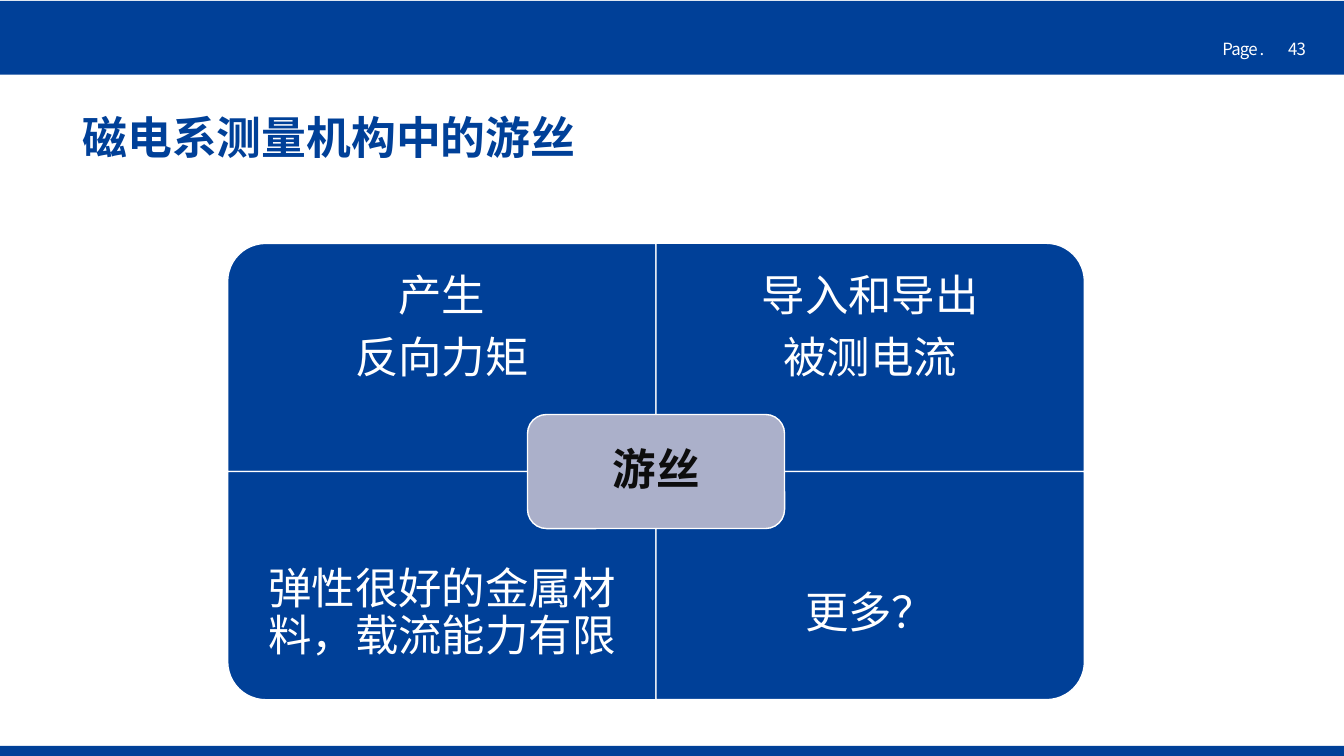
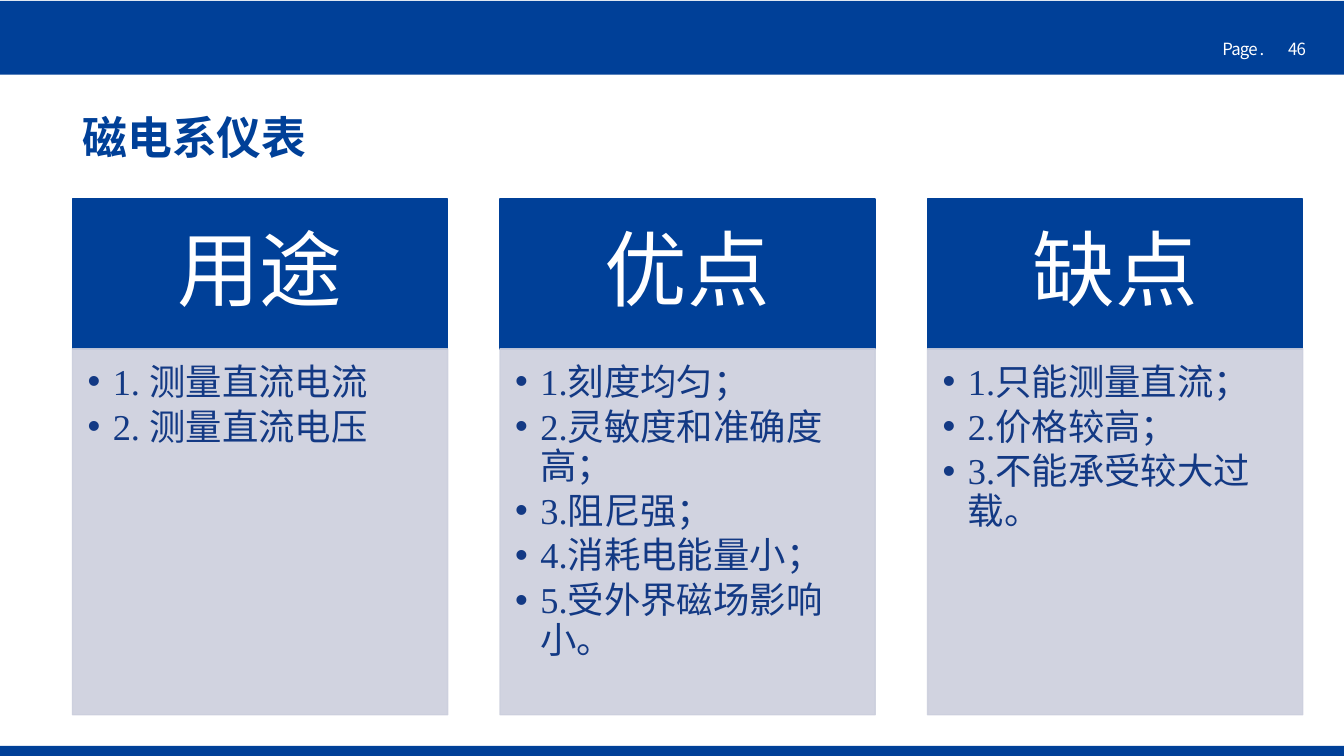
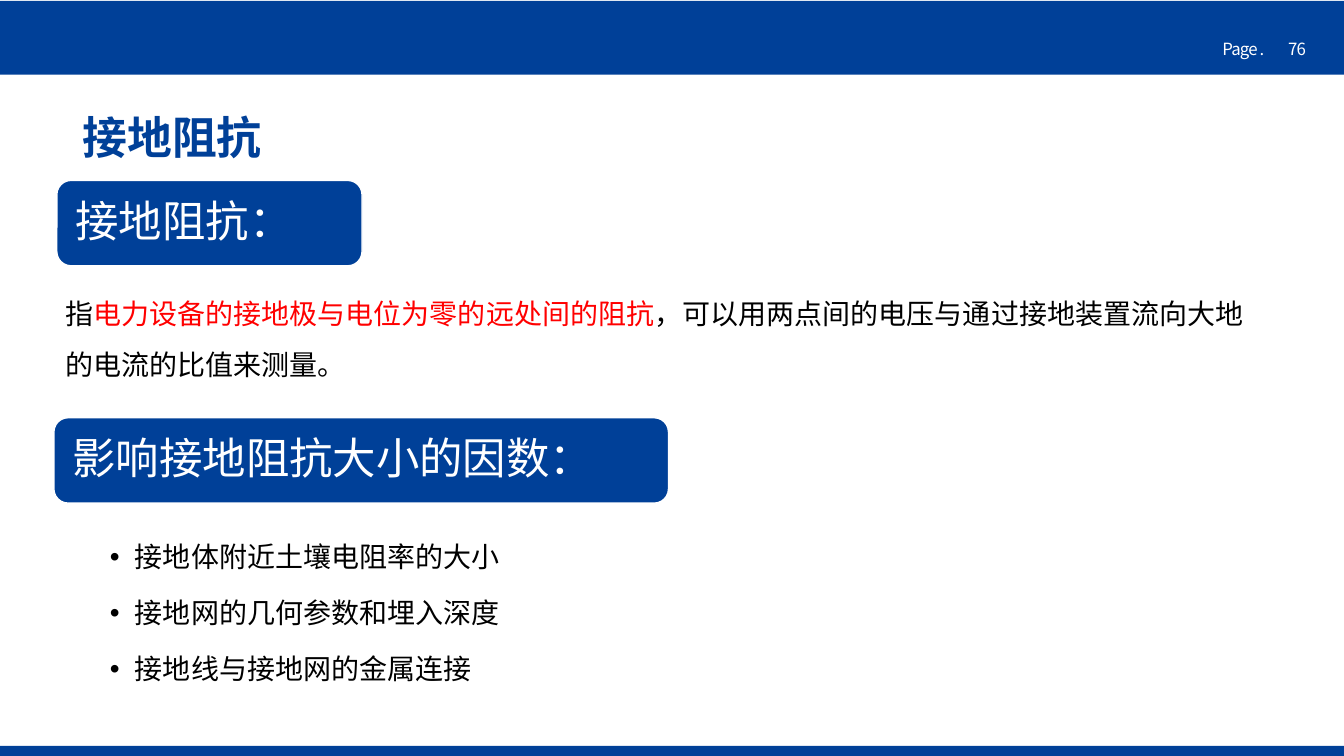
from lxml import etree
from pptx import Presentation
from pptx.dml.color import RGBColor
from pptx.enum import shapes, text
from pptx.oxml.ns import qn
from pptx.util import Pt

KIND = shapes.MSO_SHAPE
LEFT, MID = text.PP_ALIGN.LEFT, text.PP_ALIGN.CENTER
TOP, CORE = text.MSO_ANCHOR.TOP, text.MSO_ANCHOR.MIDDLE

BLUE, NAVY, PALE, GREY = "004098", "133984", "CCCFDD", "ABB0CA"
WHITE, BLACK, INK, RED = "FFFFFF", "000000", "0D0D0D", "FF0000"
SANS, SERIF = "Noto Sans CJK SC", "Times New Roman"
WIDE, HIGH = 960, 540


def paint(part, hue, alpha=None):
    """Fill a shape or a line with one colour, alpha in percent."""
    part.fill.solid()
    part.fill.fore_color.rgb = RGBColor.from_string(hue)
    if alpha:
        for clr in part.fill._xPr.iter(qn("a:srgbClr")):
            etree.SubElement(clr, qn("a:alpha"), val=str(alpha * 1000))


def add_run(para, words, size, hue, font=SERIF, bold=False, track=None):
    run = para.add_run()
    run.text = words
    run.font.size = Pt(size)
    run.font.bold = bold
    run.font.name = font
    run.font.color.rgb = RGBColor.from_string(hue)
    props = run.font._element
    etree.SubElement(props, qn("a:ea"), typeface=SANS)
    if track:
        props.set("spc", str(track))


def add_dot(para):
    """Give a paragraph a hanging bullet."""
    props = para._p.get_or_add_pPr()
    props.set("marL", str(Pt(18)))
    props.set("indent", str(-Pt(18)))
    etree.SubElement(props, qn("a:buFont"), typeface="Arial")
    etree.SubElement(props, qn("a:buChar"), char="•")


def write(shape, paras, size, hue, align=LEFT, anchor=CORE, pad=(7.2, 3.6, 7.2, 3.6),
          line=0.9, after=0, dot=False, wrap=True, **style):
    """Write paragraphs; each is a string or a list of (words, colour)."""
    frame = shape.text_frame
    frame.word_wrap = wrap
    frame.auto_size = text.MSO_AUTO_SIZE.NONE
    frame.vertical_anchor = anchor
    (frame.margin_left, frame.margin_top,
     frame.margin_right, frame.margin_bottom) = map(Pt, pad)
    for i, item in enumerate(paras):
        para = frame.add_paragraph() if i else frame.paragraphs[0]
        if dot:
            add_dot(para)
        para.alignment = align
        para.line_spacing = line
        para.space_after = Pt(round(size * after, 2))
        for words, tint in [(item, hue)] if isinstance(item, str) else item:
            add_run(para, words, size, tint, **style)


def add_box(slide, x, y, w, h):
    return slide.shapes.add_textbox(Pt(x), Pt(y), Pt(w), Pt(h))


def add_form(slide, kind, x, y, w, h, fill, edge=None, alpha=None):
    shape = slide.shapes.add_shape(kind, Pt(x), Pt(y), Pt(w), Pt(h))
    shape.shadow.inherit = False
    paint(shape, fill, alpha)
    if edge:
        shape.line.width = Pt(1)
        paint(shape.line, edge, alpha)
    else:
        shape.line.fill.background()
    return shape


def add_page(deck, title, page, font=SERIF):
    """Add a slide with bands, page number and title."""
    slide = deck.slides.add_slide(deck.slide_layouts[6])
    for y, h in ((532.8, 7.2), (0.7, 52.6)):
        add_form(slide, KIND.RECTANGLE, 0, y, WIDE, h, BLUE)
    for words, x, w in ((str(page), 913, 29), ("Page .", 866, 45.5)):
        write(add_box(slide, x, 24.5, w, 21.6), [words], 12, WHITE, anchor=TOP,
              line=1, wrap=False, font=SANS, track=-60)
    write(add_box(slide, 51.8, 77, 879, 45.4), [title], 32, BLUE, font=font, bold=True)
    return slide


def add_quad(slide, mid_x, mid_y, w, h, cells, core):
    """Four cells with one rounded outer corner each, around a core."""
    turns = (270, 0, 180, 90)
    deep = h * 0.75
    for i, (paras, turn) in enumerate(zip(cells, turns)):
        row, col = divmod(i, 2)
        x, y = mid_x + (col - 1) * w, mid_y + (row - 1) * h
        fw, fh = (h, w) if turn % 180 else (w, h)
        form = add_form(slide, KIND.ROUND_1_RECTANGLE, x + (w - fw) / 2,
                        y + (h - fh) / 2, fw, fh, BLUE, WHITE)
        form.rotation = turn
        box = add_box(slide, x, y + row * (h - deep), w, deep)
        write(box, paras, 31, WHITE, align=MID, pad=(17.3,) * 4, after=0.35)
    w, h = w * 0.6, h / 2
    form = add_form(slide, KIND.ROUNDED_RECTANGLE, mid_x - w / 2, mid_y - h / 2,
                    w, h, GREY, WHITE)
    write(form, [core], 31, INK, align=MID, pad=(9.4,) * 4, after=0.35, bold=True)


def add_card(slide, x, head, items):
    y, w, h = 142.2, 268, 107
    form = add_form(slide, KIND.RECTANGLE, x, y, w, h, BLUE, BLUE)
    write(form, [head], 59, WHITE, align=MID, pad=(33, 18.7, 33, 18.7), after=0.35)
    form = add_form(slide, KIND.RECTANGLE, x, y + h, w, 261.4, PALE, PALE, 90)
    write(form, items, 26, NAVY, anchor=TOP, pad=(10.8, 10.8, 14.4, 16.6),
          after=0.15, dot=True)


def add_chip(slide, x, y, w, words):
    form = add_form(slide, KIND.ROUNDED_RECTANGLE, x, y, w, 61, BLUE, WHITE)
    write(form, [words], 31, WHITE, pad=(10.4, 9.4, 9.4, 9.4), after=0.35)


def main():
    deck = Presentation()
    deck.slide_width, deck.slide_height = Pt(WIDE), Pt(HIGH)

    slide = add_page(deck, "磁电系测量机构中的游丝", 43)
    cells = (["产生", "反向力矩"], ["导入和导出", "被测电流"],
             ["弹性很好的金属材料，载流能力有限"], ["更多？"])
    add_quad(slide, 468.6, 336.8, 306, 163, cells, "游丝")

    slide = add_page(deck, "磁电系仪表", 46)
    cards = (
        ("用途", ["1. 测量直流电流", "2. 测量直流电压"]),
        ("优点", ["1.刻度均匀；", "2.灵敏度和准确度高；", "3.阻尼强；",
                "4.消耗电能量小；", "5.受外界磁场影响小。"]),
        ("缺点", ["1.只能测量直流；", "2.价格较高；", "3.不能承受较大过载。"]),
    )
    for i, (head, items) in enumerate(cards):
        add_card(slide, 51.8 + i * 305.4, head, items)

    slide = add_page(deck, "接地阻抗", 76, SANS)
    add_chip(slide, 40.6, 128.9, 218, "接地阻抗：")
    meaning = [("指", BLACK), ("电力设备的接地极与电位为零的远处间的阻抗", RED),
               ("，可以用两点间的电压与通过接地装置流向大地的电流的比值来测量。", BLACK)]
    write(add_box(slide, 39.6, 196.6, 867.6, 74.2), [meaning], 20, BLACK,
          anchor=TOP, line=1.5, font=SANS)
    add_chip(slide, 38.5, 298.4, 439, "影响接地阻抗大小的因数：")
    causes = ["接地体附近土壤电阻率的大小", "接地网的几何参数和埋入深度", "接地线与接地网的金属连接"]
    write(add_box(slide, 50.4, 370.8, 327.6, 149), causes, 20, BLACK, anchor=TOP,
          pad=(28, 2.9, 17.3, 2.9), line=1.5, after=0.2, dot=True)

    deck.save("out.pptx")


if __name__ == "__main__":
    main()
